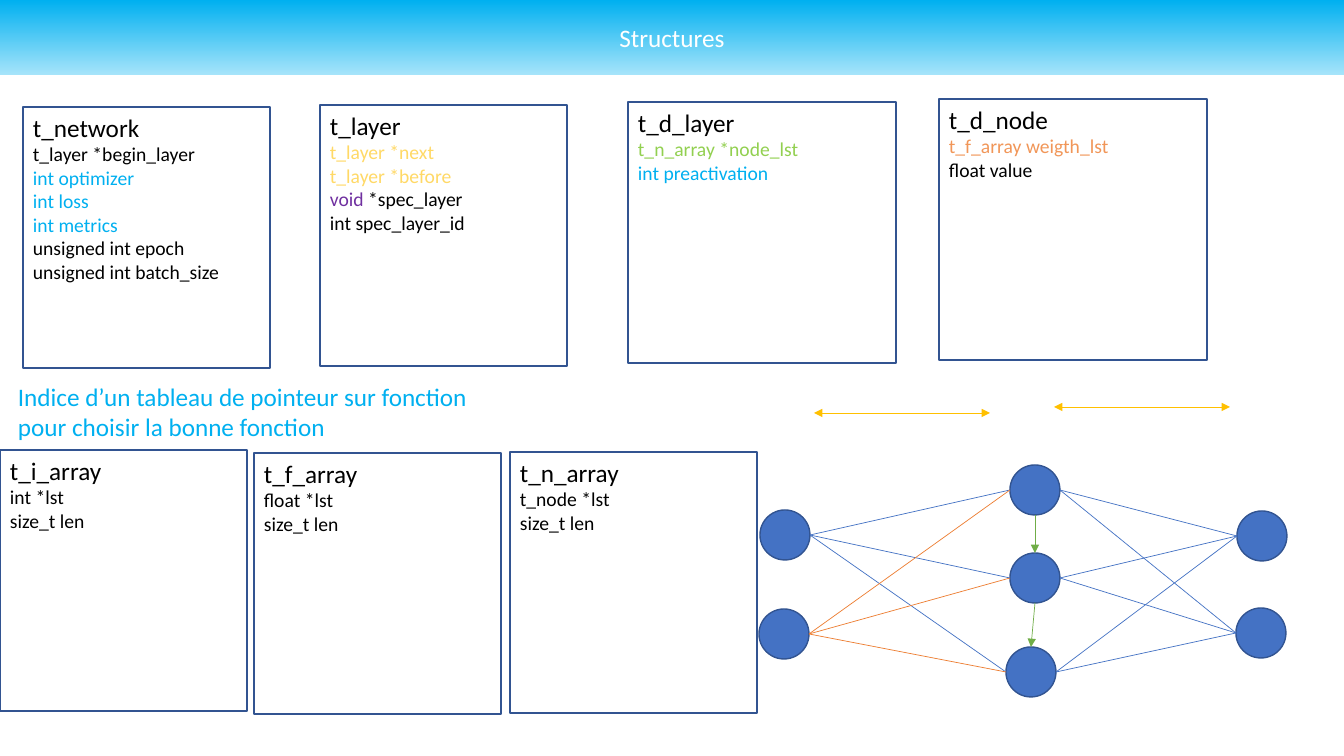
from itertools import pairwise, product

from lxml import etree
from pptx import Presentation
from pptx import util as u
from pptx.dml.color import RGBColor
from pptx.enum import shapes, text
from pptx.oxml.ns import qn

PX = 914400 / 100.8
FONT = "Calibri"
NODE = 50
BOX_HEIGHT = 261
COLORS = {
    "black": "000000", "white": "FFFFFF", "sky": "00B0F0", "pale sky": "A6E4FA",
    "blue": "4472C4", "outline": "325491", "orange": "ED7D31", "peach": "F19658",
    "green": "70AD47", "lime": "92D050", "gold": "FFC000", "sand": "FFD966",
    "purple": "7030A0",
}

# left, top, width, name, then one list of (words, color) spans per field
STRUCTURES = [
    (23, 107, 247, "t_network", [
        [("t_layer *begin_layer", "black")],
        [("int optimizer", "sky")],
        [("int loss", "sky")],
        [("int metrics", "sky")],
        [("unsigned int epoch", "black")],
        [("unsigned int batch_size", "black")]]),
    (320, 105, 247, "t_layer", [
        [("t_layer *next", "sand")],
        [("t_layer *before", "sand")],
        [("void ", "purple"), ("*spec_layer", "black")],
        [("int spec_layer_id", "black")]]),
    (628, 102, 268, "t_d_layer", [
        [("t_n_array *node_lst", "lime")],
        [("int preactivation", "sky")]]),
    (939, 99, 268, "t_d_node", [
        [("t_f_array weigth_lst", "peach")],
        [("float value", "black")]]),
]
ARRAYS = [
    (0, 450, "t_i_array", "int *lst"),
    (254, 453, "t_f_array", "float *lst"),
    (510, 452, "t_n_array", "t_node *lst"),
]

# node centers, layer by layer
INPUTS = [(785, 535), (784, 634)]
HIDDEN = [(1035, 490), (1035, 578), (1031, 672)]
OUTPUTS = [(1262, 536), (1261, 633)]


def px(*lengths):
    return [u.Emu(round(length * PX)) for length in lengths]


def rgb(name):
    return RGBColor.from_string(COLORS[name])


def add_span(para, words, size=14, color="black"):
    span = para.add_run()
    span.text = words
    span.font.name = FONT
    span.font.size = u.Pt(size)
    span.font.color.rgb = rgb(color)


def fill_text(frame, lines, align=text.PP_ALIGN.LEFT):
    """Write lines, each a list of (words, size, color) spans."""
    for index, spans in enumerate(lines):
        para = frame.add_paragraph() if index else frame.paragraphs[0]
        para.alignment = align
        for words, size, color in spans:
            add_span(para, words, size=size, color=color)


def add_banner(page, title):
    banner = page.shapes.title
    banner.left, banner.top, banner.width, banner.height = px(0, 0, 1344, 75)
    banner.fill.gradient()
    banner.fill.gradient_angle = 270
    for stop, color, position in zip(banner.fill.gradient_stops, ("sky", "pale sky"), (0, 1)):
        stop.color.rgb = rgb(color)
        stop.position = position
    frame = banner.text_frame
    frame.auto_size = text.MSO_AUTO_SIZE.NONE
    frame.vertical_anchor = text.MSO_ANCHOR.MIDDLE
    fill_text(frame, [[(title, 18, "white")]], align=text.PP_ALIGN.CENTER)


def add_outlined(page, kind, left, top, width, height):
    shape = page.shapes.add_shape(kind, *px(left, top, width, height))
    shape.shadow.inherit = False
    shape.line.color.rgb = rgb("outline")
    shape.line.width = u.Pt(1)
    return shape


def add_structure(page, left, top, width, name, fields):
    box = add_outlined(page, shapes.MSO_SHAPE.RECTANGLE, left, top, width, BOX_HEIGHT)
    box.fill.background()
    frame = box.text_frame
    frame.word_wrap = True
    frame.vertical_anchor = text.MSO_ANCHOR.TOP
    lines = [[(words, 14, color) for words, color in field] for field in fields]
    fill_text(frame, [[(name, 18, "black")]] + lines)


def add_note(page, left, top, width, height, lines):
    box = page.shapes.add_textbox(*px(left, top, width, height))
    box.text_frame.word_wrap = False
    fill_text(box.text_frame, [[(line, 18, "sky")] for line in lines])


def add_node(page, x, y):
    radius = NODE // 2
    node = add_outlined(page, shapes.MSO_SHAPE.OVAL, x - radius, y - radius, NODE, NODE)
    node.fill.solid()
    node.fill.fore_color.rgb = rgb("blue")


def add_line(page, start, end, color="blue", heads=()):
    """Draw a line; heads may hold headEnd (at start) and tailEnd (at end)."""
    line = page.shapes.add_connector(shapes.MSO_CONNECTOR.STRAIGHT, *px(*start, *end))
    line.line.color.rgb = rgb(color)
    line.line.width = u.Pt(0.5)
    for head in heads:
        etree.SubElement(line.line._get_or_add_ln(), qn(f"a:{head}"), type="triangle")
    etree.SubElement(line._element.spPr, qn("a:effectLst"))


def add_edges(page, sources, targets, colors):
    radius = NODE // 2
    for ((x1, y1), color), (x2, y2) in product(zip(sources, colors), targets):
        add_line(page, (x1 + radius, y1), (x2 - radius, y2), color=color)


def add_network(page):
    for center in INPUTS + HIDDEN + OUTPUTS:
        add_node(page, *center)
    add_edges(page, INPUTS, HIDDEN, ["blue", "orange"])
    add_edges(page, HIDDEN, OUTPUTS, ["blue"] * len(HIDDEN))
    radius = NODE // 2
    for (x1, y1), (x2, y2) in pairwise(HIDDEN):
        add_line(page, (x1, y1 + radius), (x2, y2 - radius), color="green", heads=["tailEnd"])
    for left, y in [(814, 413), (1054, 407)]:
        add_line(page, (left, y), (left + 176, y), color="gold", heads=["headEnd", "tailEnd"])


def main():
    deck = Presentation()
    deck.slide_width, deck.slide_height = px(1344, 756)
    page = deck.slides.add_slide(deck.slide_layouts[5])
    add_banner(page, "Structures")
    add_network(page)
    for structure in STRUCTURES:
        add_structure(page, *structure)
    for left, top, name, items in ARRAYS:
        add_structure(page, left, top, 247, name, [[(items, "black")], [("size_t len", "black")]])
    add_note(page, 8, 376, 476, 72, [
        "Indice d’un tableau de pointeur sur fonction",
        "pour choisir la bonne fonction"])
    deck.save("out.pptx")


if __name__ == "__main__":
    main()
